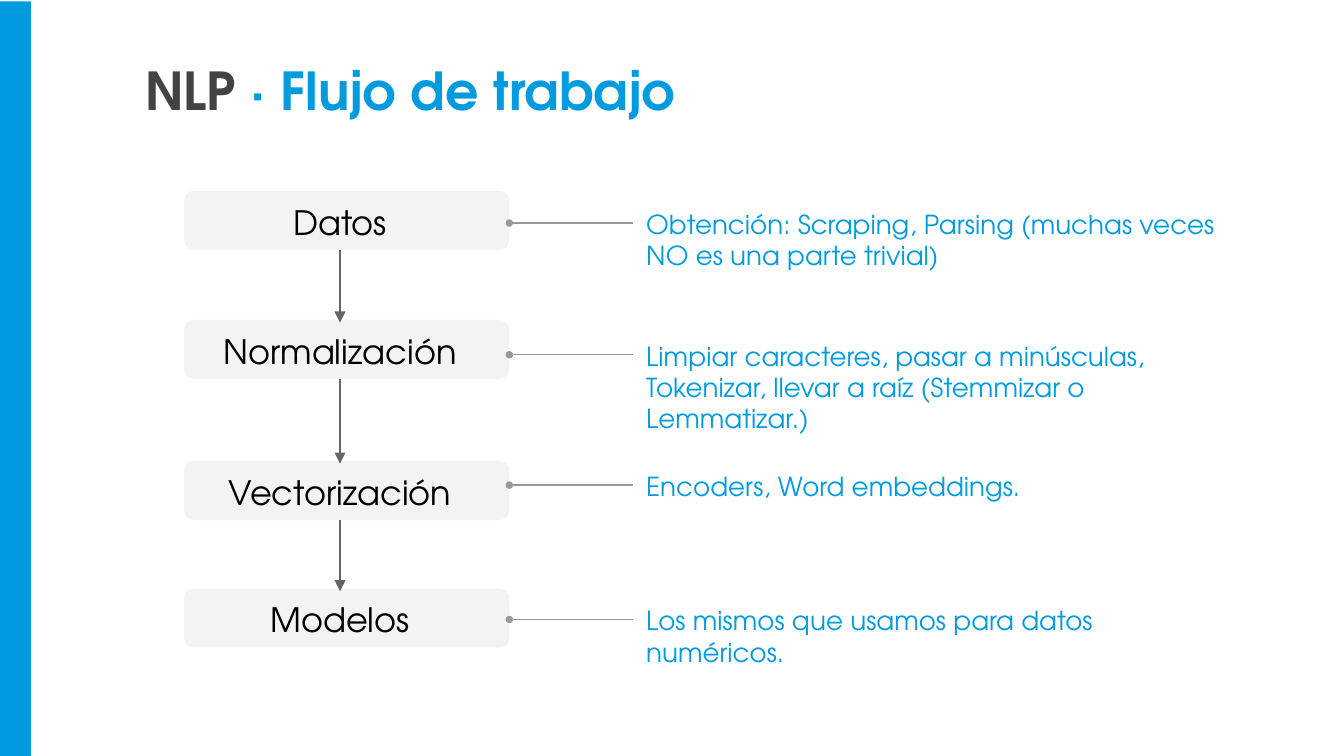
from dataclasses import dataclass

from lxml.etree import SubElement
from pptx import Presentation
from pptx.dml.color import RGBColor
from pptx.enum.shapes import MSO_CONNECTOR, MSO_SHAPE
from pptx.enum.text import MSO_ANCHOR, MSO_AUTO_SIZE, PP_ALIGN
from pptx.oxml.ns import qn
from pptx.util import Inches, Pt


@dataclass(frozen=True)
class Theme:
    font: str = "TeX Gyre Adventor"
    accent: str = "009BDE"
    dark: str = "434343"
    black: str = "000000"
    box: str = "F3F3F3"
    arrow: str = "666666"
    leader: str = "999999"
    title_size: int = 28
    step_size: int = 18
    note_size: int = 14
    line_width: float = 0.75


THEME = Theme()

# Step name, box top, note top, note
STEPS = [
    ("Datos", 1.42, 1.45,
     "Obtención: Scraping, Parsing (muchas veces NO es una parte trivial)"),
    ("Normalización", 2.38, 2.43,
     "Limpiar caracteres, pasar a minúsculas, Tokenizar, llevar a raíz "
     "(Stemmizar o Lemmatizar.)"),
    ("Vectorización", 3.43, 3.4, "Encoders, Word embeddings."),
    ("Modelos", 4.38, 4.4, "Los mismos que usamos para datos numéricos."),
]


def style_run(r, size, color, bold=False):
    r.font.name = THEME.font
    r.font.size = Pt(size)
    r.font.bold = bold
    r.font.color.rgb = RGBColor.from_string(color)


def prepare_frame(tf, anchor, left=0.1, right=0.1):
    tf.word_wrap = True
    tf.auto_size = MSO_AUTO_SIZE.NONE
    tf.vertical_anchor = anchor
    tf.margin_left, tf.margin_right = Inches(left), Inches(right)
    tf.margin_top = tf.margin_bottom = Inches(0.1)


def add_box(s, kind, x, y, w, h, color):
    sp = s.shapes.add_shape(kind, Inches(x), Inches(y), Inches(w), Inches(h))
    sp.shadow.inherit = False
    sp.fill.solid()
    sp.fill.fore_color.rgb = RGBColor.from_string(color)
    sp.line.fill.background()
    return sp


def add_line(s, x1, y1, x2, y2, color, end, marker, size):
    """Draw a line with a marker at one end: headEnd (start) or tailEnd."""
    line = s.shapes.add_connector(
        MSO_CONNECTOR.STRAIGHT, Inches(x1), Inches(y1), Inches(x2), Inches(y2))
    line.line.color.rgb = RGBColor.from_string(color)
    line.line.width = Pt(THEME.line_width)
    SubElement(line.line._get_or_add_ln(), qn(f"a:{end}"),
               type=marker, w=size, len=size)
    SubElement(line._element.spPr, qn("a:effectLst"))


def add_title(s, x, y, w, h):
    title = s.shapes.title
    title.left, title.top = Inches(x), Inches(y)
    title.width, title.height = Inches(w), Inches(h)
    tf = title.text_frame
    prepare_frame(tf, MSO_ANCHOR.TOP)
    p = tf.paragraphs[0]
    p.alignment = PP_ALIGN.LEFT
    for text, color in (("NLP ", THEME.dark), ("· Flujo de trabajo", THEME.accent)):
        r = p.add_run()
        r.text = text
        style_run(r, THEME.title_size, color, bold=True)


def add_step(s, x, y, w, h, name):
    sp = add_box(s, MSO_SHAPE.ROUNDED_RECTANGLE, x, y, w, h, THEME.box)
    tf = sp.text_frame
    # The wider right margin centres the name over the arrows
    prepare_frame(tf, MSO_ANCHOR.MIDDLE, right=0.2)
    tf.margin_top = Inches(0.12)
    p = tf.paragraphs[0]
    p.text = name
    p.alignment = PP_ALIGN.CENTER
    style_run(p.runs[0], THEME.step_size, THEME.black)


def add_note(s, x, y, w, h, text):
    tf = s.shapes.add_textbox(Inches(x), Inches(y), Inches(w), Inches(h)).text_frame
    prepare_frame(tf, MSO_ANCHOR.TOP)
    tf.text = text
    style_run(tf.paragraphs[0].runs[0], THEME.note_size, THEME.accent)


def add_workflow(s, x, w, h, note_x, note_w, note_h):
    right = x + w
    arrow_x = x + w / 2 - 0.05
    for name, top, note_top, note in STEPS:
        add_step(s, x, top, w, h, name)
        add_note(s, note_x, note_top, note_w, note_h, note)
        leader_y = note_top + note_h / 2
        add_line(s, right, leader_y, note_x, leader_y,
                 THEME.leader, "headEnd", "oval", "sm")

    # Arrows from each step to the next
    for (_, top, *_), (_, next_top, *_) in zip(STEPS, STEPS[1:]):
        add_line(s, arrow_x, top + h, arrow_x, next_top + 0.02,
                 THEME.arrow, "tailEnd", "triangle", "med")


def main():
    prs = Presentation()
    # Widescreen, 16:9
    prs.slide_width = Inches(10)
    prs.slide_height = prs.slide_width * 9 // 16
    s = prs.slides.add_slide(prs.slide_layouts[5])
    # Side bar
    add_box(s, MSO_SHAPE.RECTANGLE, 0, 0.01, 0.23, 5.62, THEME.accent)
    add_title(s, 0.98, 0.33, 8.02, 0.64)
    add_workflow(s, x=1.37, w=2.42, h=0.44, note_x=4.71, note_w=4.49, note_h=0.42)
    prs.save("out.pptx")


if __name__ == "__main__":
    main()
